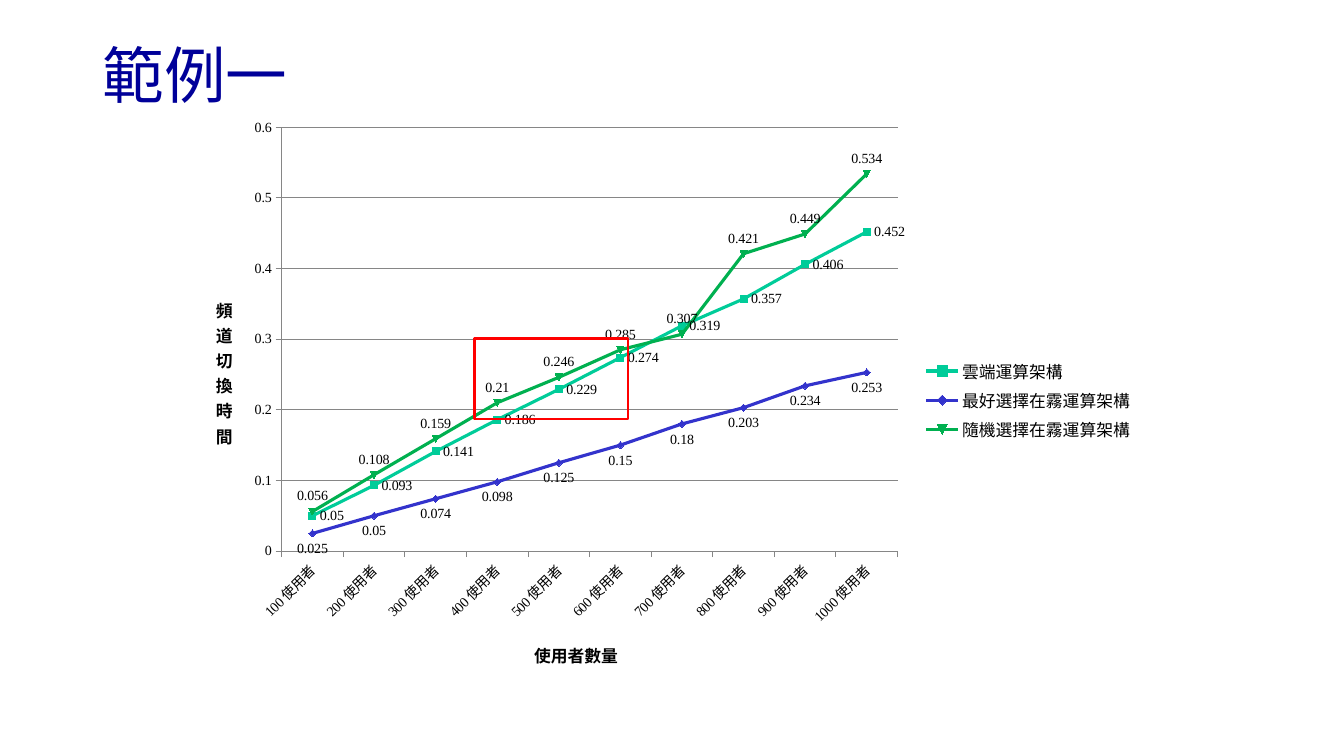
from lxml import etree
from pptx import Presentation
from pptx.chart.data import CategoryChartData
from pptx.dml.color import RGBColor
from pptx.enum.chart import (XL_CHART_TYPE, XL_LABEL_POSITION, XL_LEGEND_POSITION,
                             XL_MARKER_STYLE, XL_TICK_MARK)
from pptx.enum.shapes import MSO_SHAPE
from pptx.enum.text import MSO_ANCHOR
from pptx.oxml.ns import qn
from pptx.util import Cm, Pt

LINE_MARKERS = XL_CHART_TYPE.LINE_MARKERS
ABOVE, BELOW, RIGHT = XL_LABEL_POSITION.ABOVE, XL_LABEL_POSITION.BELOW, XL_LABEL_POSITION.RIGHT
LEGEND_RIGHT = XL_LEGEND_POSITION.RIGHT
AUTO_MARKER = XL_MARKER_STYLE.AUTOMATIC
OUTSIDE = XL_TICK_MARK.OUTSIDE
RECTANGLE = MSO_SHAPE.RECTANGLE
TOP = MSO_ANCHOR.TOP

COLORS = {"title": "000099", "text": "000000", "grid": "868686", "frame": "FF0000",
          "cloud": "00CC99", "best": "3333CC", "random": "00B050"}
SERIF = "Times New Roman"
CJK = "Noto Sans CJK SC"

USERS = [f"{n} 使用者" for n in range(100, 1001, 100)]
SERIES = [
    ("雲端運算架構", "cloud", RIGHT,
     (0.05, 0.093, 0.141, 0.186, 0.229, 0.274, 0.319, 0.357, 0.406, 0.452)),
    ("最好選擇在霧運算架構", "best", BELOW,
     (0.025, 0.05, 0.074, 0.098, 0.125, 0.15, 0.18, 0.203, 0.234, 0.253)),
    ("隨機選擇在霧運算架構", "random", ABOVE,
     (0.056, 0.108, 0.159, 0.21, 0.246, 0.285, 0.307, 0.421, 0.449, 0.534)),
]
PLOT_AREA = {"x": 0.09, "y": 0.03, "w": 0.65, "h": 0.73}


def rgb(name):
    return RGBColor.from_string(COLORS[name])


def set_font(font, size, name=SERIF, color="text", bold=False):
    font.size, font.name, font.bold = Pt(size), name, bold
    font.color.rgb = rgb(color)


def write(tf, text, spacing=None, **style):
    p = tf.paragraphs[0]
    p.line_spacing = spacing
    r = p.add_run()
    r.text = text
    set_font(r.font, **style)


def place_plot(chart, box):
    """Fix the inner plot area as fractions of the chart."""
    plot_area = chart.element.find(".//" + qn("c:plotArea"))
    for old in plot_area.findall(qn("c:layout")):
        plot_area.remove(old)
    layout = etree.Element(qn("c:layout"))
    manual = etree.SubElement(layout, qn("c:manualLayout"))
    settings = {"layoutTarget": "inner", "xMode": "edge", "yMode": "edge", **box}
    for tag, value in settings.items():
        etree.SubElement(manual, qn("c:" + tag)).set("val", str(value))
    plot_area.insert(0, layout)


class SlideBuilder:
    """Adds styled elements to one slide."""

    def __init__(self, slide):
        self.slide = slide

    def title(self, text, x, y, w, h):
        tf = self.slide.shapes.add_textbox(Cm(x), Cm(y), Cm(w), Cm(h)).text_frame
        tf.word_wrap = True
        tf.vertical_anchor = TOP
        write(tf, text, spacing=0.9, size=44, color="title")

    def frame(self, x, y, w, h):
        sp = self.slide.shapes.add_shape(RECTANGLE, Cm(x), Cm(y), Cm(w), Cm(h))
        sp.shadow.inherit = False
        sp.fill.background()
        sp.line.color.rgb = rgb("frame")
        sp.line.width = Pt(1.5)

    def axis(self, axis, title):
        axis.major_tick_mark = OUTSIDE
        axis.format.line.color.rgb = rgb("grid")
        set_font(axis.tick_labels.font, 10)
        write(axis.axis_title.text_frame, title, size=12, name=CJK, bold=True)

    def series(self, series, color, position):
        series.smooth = False
        series.format.line.color.rgb = rgb(color)
        series.format.line.width = Pt(2.25)
        marker = series.marker
        marker.style, marker.size = AUTO_MARKER, 5
        marker.format.fill.solid()
        marker.format.fill.fore_color.rgb = rgb(color)
        marker.format.line.color.rgb = rgb(color)
        labels = series.data_labels
        labels.show_value = True
        labels.position = position
        set_font(labels.font, 10)

    def line_chart(self, x, y, w, h):
        data = CategoryChartData()
        data.categories = USERS
        for name, _, _, values in SERIES:
            data.add_series(name, values)
        chart = self.slide.shapes.add_chart(LINE_MARKERS, Cm(x), Cm(y), Cm(w), Cm(h), data).chart
        set_font(chart.font, 10, "Cabin")
        chart.has_title = False
        chart.has_legend = True
        chart.legend.position = LEGEND_RIGHT
        chart.legend.include_in_layout = False
        set_font(chart.legend.font, 12, CJK)

        users, time = chart.category_axis, chart.value_axis
        self.axis(users, "使用者數量")
        self.axis(time, "頻道切換時間")
        users.tick_labels.font.size = Pt(10)
        users_body = users._element.find(qn("c:txPr")).find(qn("a:bodyPr"))
        users_body.set("rot", "-2700000")
        users_body.set("vert", "horz")
        time_body = time.axis_title._element.find(".//" + qn("a:bodyPr"))
        time_body.set("rot", "0")
        time_body.set("vert", "wordArtVert")
        time.minimum_scale, time.maximum_scale, time.major_unit = 0, 0.6, 0.1
        time.major_gridlines.format.line.color.rgb = rgb("grid")

        chart.plots[0].vary_by_categories = False
        for series, (_, color, position, _) in zip(chart.plots[0].series, SERIES):
            self.series(series, color, position)
        place_plot(chart, PLOT_AREA)


def main():
    prs = Presentation()
    prs.slide_width, prs.slide_height = Cm(33.87), Cm(19.05)
    s = SlideBuilder(prs.slides.add_slide(prs.slide_layouts[6]))
    s.title("範例一", 2.34, 1.02, 29.21, 3.68)
    s.line_chart(4.95, 2.77, 23.88, 14.63)
    s.frame(11.96, 8.53, 3.86, 2.03)
    prs.save("out.pptx")


if __name__ == "__main__":
    main()
